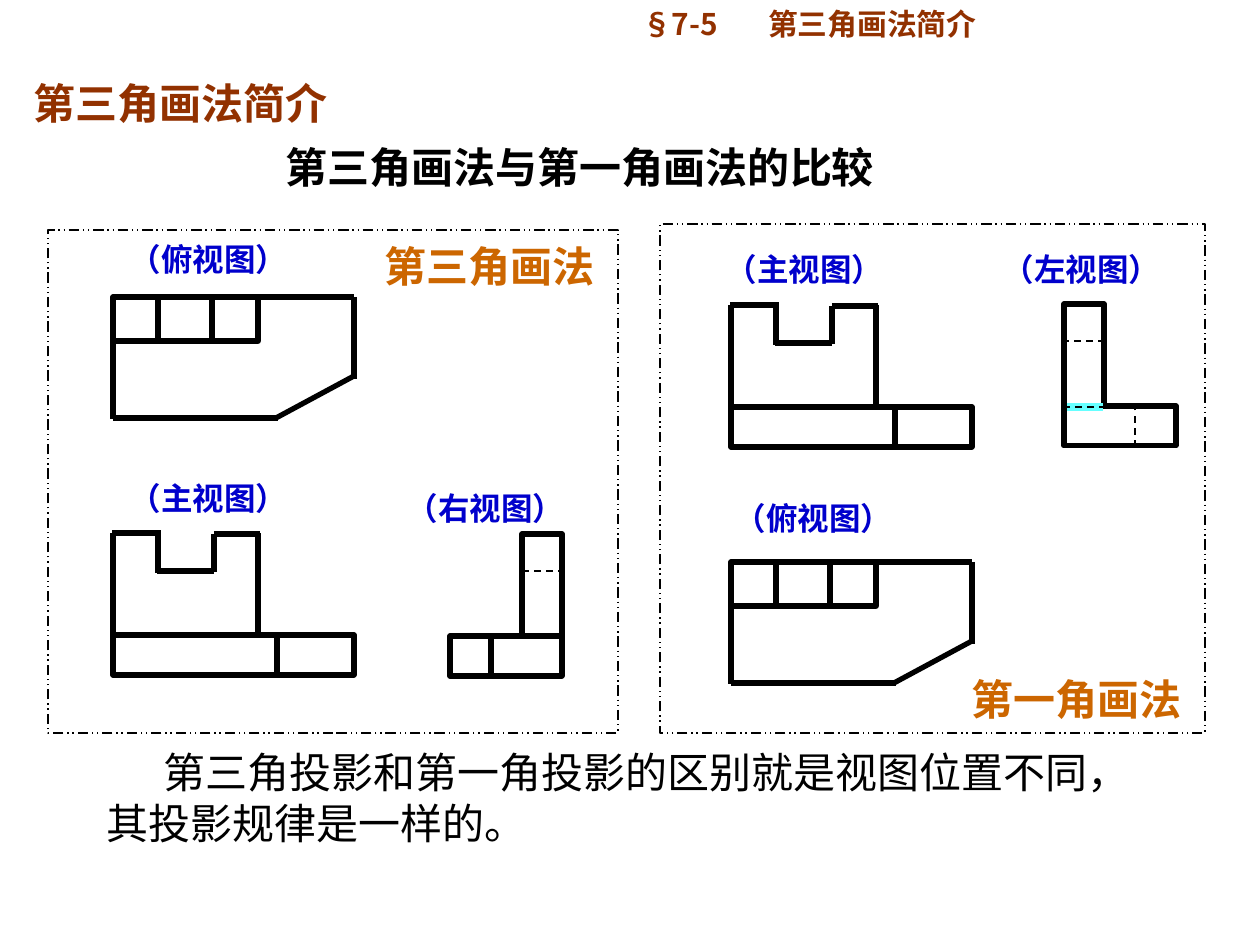
from lxml import etree
from pptx import Presentation
from pptx import util as u
from pptx.dml.color import RGBColor
from pptx.enum import dml, shapes, text
from pptx.oxml.ns import qn

PX = 914400 / 126
COLORS = {"black": "000000", "brown": "923100", "orange": "CC6600",
          "blue": "0000CC", "cyan": "66FFFF"}
CJK, LATIN = "Noto Sans CJK SC", "Times New Roman"
THICK, THIN = {"width": 3}, {"width": 1, "dash": "DASH"}
HIGHLIGHT = {"width": 4.5, "color": "cyan"}

TITLE = ("第三角画法简介", (34, 76, 1187, 53))
SECTION = ("§7-5\t第三角画法简介", (629, 0, 389, 53))
CONCLUSION = ("第三角投影和第一角投影的区别就是视图位置不同，其投影规律是一样的。",
              (94, 741, 1081, 113))
HEADINGS = [  # text, box, colour, centred
    ("第三角画法与第一角画法的比较", (273, 135, 612, 63), "black", False),
    ("第一角画法", (960, 667, 234, 63), "orange", True),
    ("第三角画法", (373, 234, 234, 63), "orange", True),
]
LABELS = [("（俯视图）", 117, 234), ("（主视图）", 117, 473), ("（右视图）", 394, 483),
          ("（主视图）", 713, 244), ("（俯视图）", 722, 493), ("（左视图）", 990, 244)]
FRAMES = [(48, 230, 570, 503), (660, 224, 545, 509)]

# Each view: rectangles (x, y, w, h) and lines (x1, y1, x2, y2, style) from its origin
VIEWS = {
    "front": {
        "rects": [(0, 102, 241, 40)],
        "lines": [(44, 38, 101, 38, THICK), (0, 102, 0, 0, THICK), (-1, 0, 48, 0, THICK),
                  (45, 0, 45, 40, THICK), (101, 1, 101, 39, THICK), (101, 1, 147, 1, THICK),
                  (145, 0, 145, 102, THICK), (164, 102, 164, 143, THICK)],
    },
    "top": {
        "rects": [(0, 0, 145, 44)],
        "lines": [(0, 0, 0, 122, THICK), (0, 121, 165, 121, THICK), (0, 0, 241, 0, THICK),
                  (241, 0, 241, 82, THICK), (241, 79, 163, 121, THICK),
                  (99, 0, 99, 44, THICK), (45, 0, 45, 44, THICK)],
    },
    "right": {
        "rects": [(0, 102, 112, 40), (72, 0, 40, 102)],
        "lines": [(41, 141, 41, 102, THICK), (72, 37, 113, 37, THIN)],
    },
    "left": {
        "rects": [(0, 102, 112, 40), (0, 0, 40, 102)],
        "lines": [(71, 143, 71, 103, THIN), (41, 37, 1, 37, THIN),
                  (3, 103, 39, 103, HIGHLIGHT), (-1, 103, 40, 103, THIN)],
    },
}
PLACED = [("front", 113, 533), ("top", 113, 297), ("right", 450, 534),
          ("front", 731, 305), ("top", 731, 562), ("left", 1064, 304)]


def px(*values):
    return [round(value * PX) for value in values]


def format_line(line, width, color="black", dash=None):
    line.color.rgb = RGBColor.from_string(COLORS[color])
    line.width = u.Pt(width)
    if dash:
        line.dash_style = getattr(dml.MSO_LINE, dash)


def add_rect(parent, box, **line):
    rect = parent.add_shape(shapes.MSO_SHAPE.RECTANGLE, *px(*box))
    rect.shadow.inherit = False
    rect.fill.background()
    format_line(rect.line, **line)


def add_line(parent, ends, **line):
    connector = parent.add_connector(shapes.MSO_CONNECTOR.STRAIGHT, *px(*ends))
    format_line(connector.line, **line)
    etree.SubElement(connector.element.spPr, qn("a:effectLst"))


def write(box, words, place, size=24, color="black", font=CJK, bold=True, centred=False,
          wrap=False, anchor="MIDDLE", inset=(13, 6), indent=0, tab=0, spacing=None):
    box.left, box.top, box.width, box.height = px(*place)
    frame = box.text_frame
    frame.auto_size = text.MSO_AUTO_SIZE.NONE
    frame.word_wrap = wrap
    frame.vertical_anchor = getattr(text.MSO_ANCHOR, anchor)
    frame.margin_left = frame.margin_right = px(inset[0])[0]
    frame.margin_top = frame.margin_bottom = px(inset[1])[0]
    para = frame.paragraphs[0]
    para.alignment = text.PP_ALIGN.CENTER if centred else text.PP_ALIGN.LEFT
    para.space_before = u.Pt(0)
    para.line_spacing = spacing
    properties = para._p.get_or_add_pPr()
    if indent:
        properties.set("indent", str(px(indent)[0]))
    if tab:
        tabs = etree.SubElement(properties, qn("a:tabLst"))
        etree.SubElement(tabs, qn("a:tab"), pos=str(px(tab)[0]), algn="l")
    span = para.add_run()
    span.text = words
    span.font.size, span.font.bold, span.font.name = u.Pt(size), bold, font
    span.font.color.rgb = RGBColor.from_string(COLORS[color])
    etree.SubElement(span._r.get_or_add_rPr(), qn("a:ea"), typeface=CJK)


def add_text(page, words, place, **style):
    write(page.shapes.add_textbox(0, 0, 0, 0), words, place, **style)


def main():
    deck = Presentation()
    deck.slide_width, deck.slide_height = u.Inches(10), u.Inches(7.5)
    page = deck.slides.add_slide(deck.slide_layouts[0])

    for frame in FRAMES:
        add_rect(page.shapes, frame, width=0.75, dash="DASH_DOT_DOT")
    write(page.shapes.title, *TITLE, color="brown", wrap=True, inset=(0, 0))
    write(page.placeholders[1], *SECTION, size=17, color="brown", wrap=True,
          tab=98, spacing=0.8)

    for name, left, top in PLACED:
        group = page.shapes.add_group_shape().shapes
        for x, y, width, height in VIEWS[name]["rects"]:
            add_rect(group, (left + x, top + y, width, height), **THICK)
        for x1, y1, x2, y2, style in VIEWS[name]["lines"]:
            add_line(group, (left + x1, top + y1, left + x2, top + y2), **style)

    for words, place, color, centred in HEADINGS:
        add_text(page, words, place, color=color, font=LATIN, centred=centred)
    for words, left, top in LABELS:
        add_text(page, words, (left, top, 183, 50), size=18, color="blue",
                 font=LATIN, centred=True)
    add_text(page, *CONCLUSION, bold=False, wrap=True, anchor="TOP", indent=57)
    deck.save("out.pptx")


if __name__ == "__main__":
    main()
